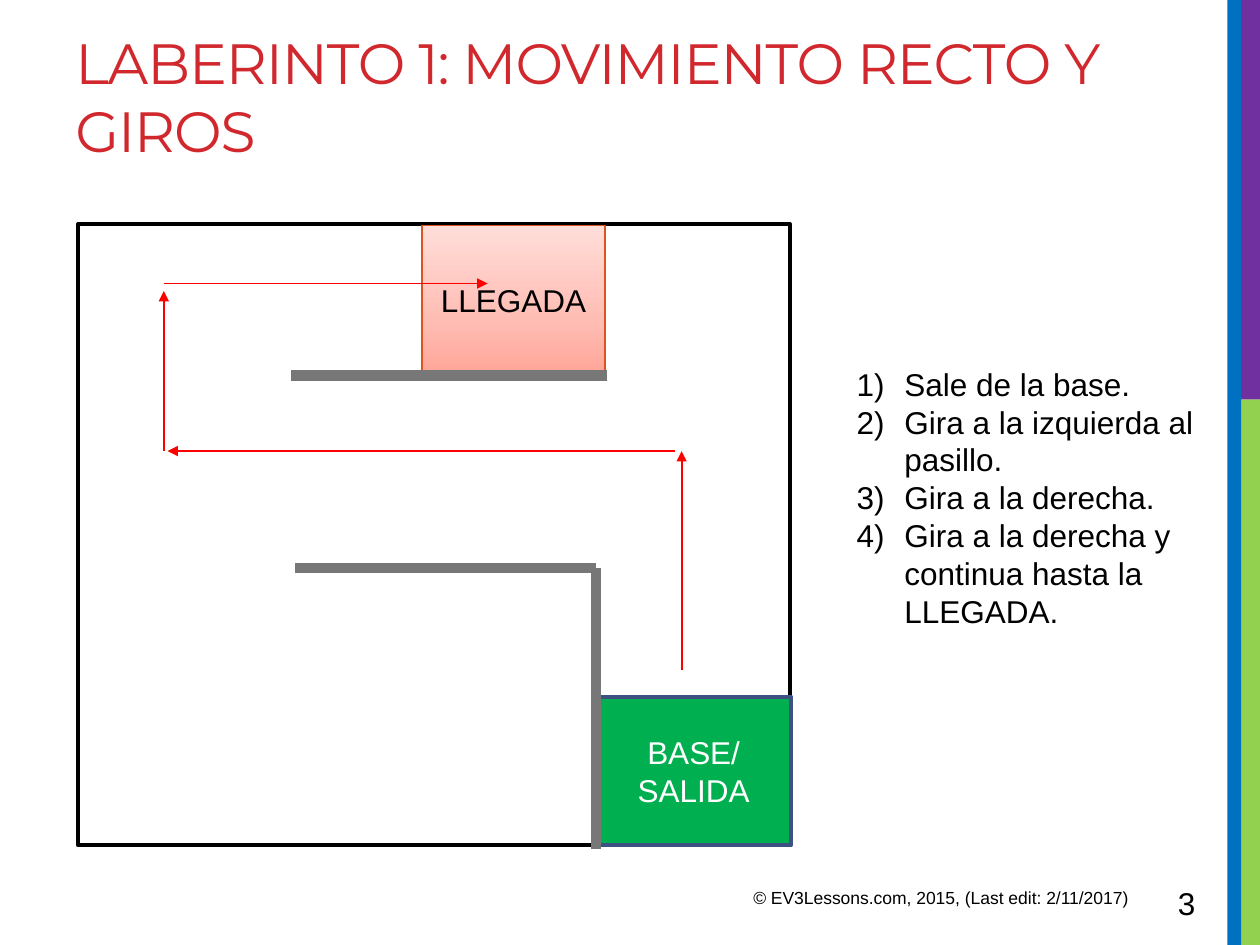
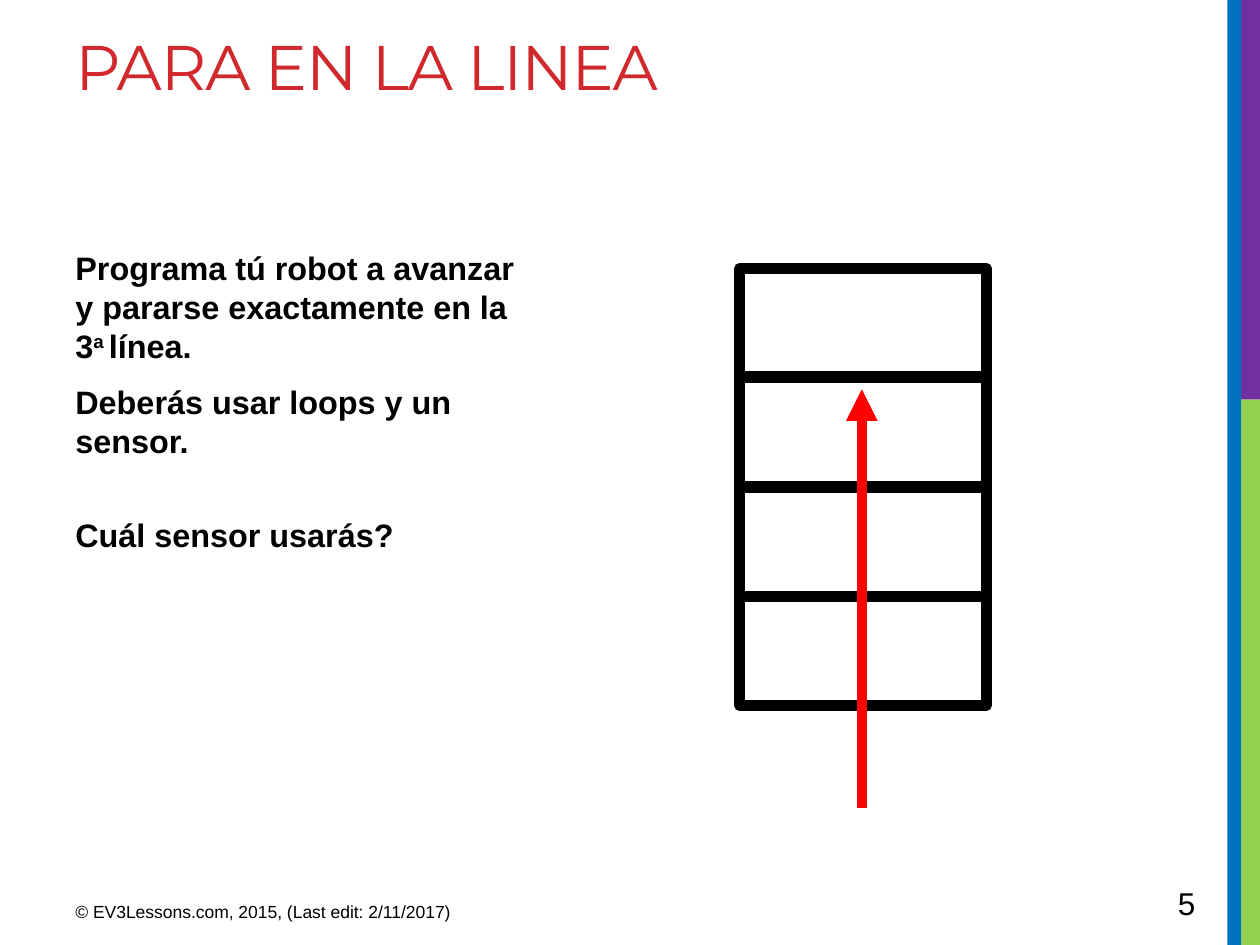
"""Build two robot challenge slides: a maze route and a stop-on-the-line task."""
from copy import deepcopy

from pptx import Presentation
from pptx.dml.color import RGBColor
from pptx.enum.shapes import MSO_CONNECTOR, MSO_SHAPE
from pptx.enum.text import MSO_ANCHOR, PP_ALIGN
from pptx.oxml.ns import qn
from pptx.util import Inches, Pt

RECTANGLE = MSO_SHAPE.RECTANGLE
STRAIGHT = MSO_CONNECTOR.STRAIGHT
TOP, MIDDLE = MSO_ANCHOR.TOP, MSO_ANCHOR.MIDDLE
LEFT, CENTER = PP_ALIGN.LEFT, PP_ALIGN.CENTER

BODY_FONT, TITLE_FONT = "Arial", "Montserrat"
COLORS = {
    "title": "D1282E", "black": "000000", "white": "FFFFFF",
    "blue": "0070C0", "lime": "92D050", "purple": "7030A0",
    "base": "00B050", "base_edge": "3D5182", "goal_edge": "DC551F",
    "route": "FF0000", "wall": "777777",
    "goal_low": "FFA698", "goal_mid": "FFBCB3", "goal_high": "FFDED9",
}
BANDS = [
    ("lime", (9.84, 3.17, 0.16, 4.33)),
    ("purple", (9.8, 0, 0.2, 3.17)),
    ("blue", (9.74, 0, 0.11, 7.5)),
]
COPYRIGHT = "© EV3Lessons.com, 2015, (Last edit: 2/11/2017)"

MAZE = {
    "title": "LABERINTO 1: MOVIMIENTO RECTO Y GIROS",
    "title_size": 32.4, "number": "3", "copyright_at": (5.88, 6.99),
}
STEPS = [
    "Sale de la base.",
    "Gira a la izquierda al pasillo.",
    "Gira a la derecha.",
    "Gira a la derecha y continua hasta la LLEGADA.",
]
GOAL_STOPS = [(0, "goal_low"), (0.35, "goal_mid"), (1, "goal_high")]
WALLS = [
    ((4.73, 6.74), (4.73, 4.51)),
    ((4.73, 4.51), (2.34, 4.51)),
    ((4.82, 2.98), (2.31, 2.98)),
]
MAZE_ROUTE = [
    ((5.41, 5.32), (5.41, 3.58)),
    ((5.36, 3.58), (1.33, 3.58)),
    ((1.3, 3.58), (1.3, 2.31)),
    ((1.3, 2.25), (3.87, 2.25)),
]

LINE_STOP = {
    "title": "PARA EN LA LINEA",
    "title_size": 36, "number": "5", "copyright_at": (0.5, 7.1),
}
TASKS = [
    (0, [("Programa tú robot a avanzar y pararse exactamente en la 3", False),
         ("a ", True), ("línea.", False)]),
    (3.7, [("Deberás usar loops y un sensor.", False)]),
    (25.7, [("Cuál sensor usarás?", False)]),
]
CELL_COUNT, CELL_PITCH = 4, 0.87
CELL_LEFT, CELL_TOP, CELL_WIDTH, CELL_HEIGHT = 5.87, 2.13, 1.96, 0.86
STOP_ROUTE = ((6.84, 6.41), (6.84, 3.09))


def rgb(name):
    return RGBColor.from_string(COLORS[name])


def lengths(values):
    return [Inches(value) for value in values]


def add_span(para, text, size, color="black", font=BODY_FONT):
    span = para.add_run()
    span.text = text
    span.font.size = Pt(size)
    span.font.name = font
    span.font.color.rgb = rgb(color)
    return span


def add_box(slide, area):
    box = slide.shapes.add_textbox(*lengths(area))
    box.text_frame.word_wrap = True
    box.text_frame.vertical_anchor = TOP
    return box.text_frame


def add_label(slide, area, text, size, color="black", font=BODY_FONT):
    return add_span(add_box(slide, area).paragraphs[0], text, size, color, font)


def next_para(frame, index):
    return frame.add_paragraph() if index else frame.paragraphs[0]


def add_block(slide, area, fill=None, edge=None, width=0, text="", color="black"):
    block = slide.shapes.add_shape(RECTANGLE, *lengths(area))
    block.shadow.inherit = False
    if fill:
        block.fill.solid()
        block.fill.fore_color.rgb = rgb(fill)
    else:
        block.fill.background()
    if edge:
        block.line.color.rgb = rgb(edge)
        block.line.width = Pt(width)
    else:
        block.line.fill.background()
    if text:
        block.text_frame.word_wrap = True
        block.text_frame.vertical_anchor = MIDDLE
        para = block.text_frame.paragraphs[0]
        para.alignment = CENTER
        add_span(para, text, 18, color)
    return block


def add_line(slide, ends, color, width, arrow=False):
    start, end = ends
    line = slide.shapes.add_connector(STRAIGHT, *lengths(start + end))
    line.line.color.rgb = rgb(color)
    line.line.width = Pt(width)
    properties = line._element.spPr
    if arrow:
        outline = properties.find(qn("a:ln"))
        head = outline.makeelement(qn("a:tailEnd"), {"type": "triangle"})
        outline.append(head)
    properties.append(properties.makeelement(qn("a:effectLst"), {}))


def shade_upward(block, stops):
    block.fill.gradient()
    block.fill.gradient_angle = 90
    stop_list = block._element.spPr.find(qn("a:gradFill")).find(qn("a:gsLst"))
    while len(stop_list) < len(stops):
        stop_list.append(deepcopy(stop_list[0]))
    for stop, (position, color) in zip(block.fill.gradient_stops, stops):
        stop.position = position
        stop.color.rgb = rgb(color)


def number_para(para):
    properties = para._p.get_or_add_pPr()
    properties.set("marL", str(Inches(0.38)))
    properties.set("indent", str(-Inches(0.38)))
    properties.append(properties.makeelement(
        qn("a:buFont"), {"typeface": BODY_FONT}))
    properties.append(properties.makeelement(
        qn("a:buAutoNum"), {"type": "arabicParenR"}))


def add_base_slide(deck, content):
    slide = deck.slides.add_slide(deck.slide_layouts[6])
    for color, area in BANDS:
        add_block(slide, area, color)
    title = add_label(slide, (0.5, 0.17, 9.02, 1.5), content["title"],
                      content["title_size"], "title", TITLE_FONT)
    title._r.get_or_add_rPr().set("spc", "-60")
    add_label(slide, content["copyright_at"] + (3.75, 0.31), COPYRIGHT, 10)
    add_label(slide, (9.25, 6.97, 0.69, 0.4), content["number"], 18)
    return slide


def add_maze_slide(deck):
    slide = add_base_slide(deck, MAZE)
    add_block(slide, (0.62, 1.78, 5.65, 4.93), "white", "black", 2.25)
    add_block(slide, (4.73, 5.53, 1.55, 1.18), "base", "base_edge", 2.25,
              "BASE/ SALIDA", "white")
    goal = add_block(slide, (3.35, 1.79, 1.45, 1.18), None, "goal_edge", 1,
                     "LLEGADA")
    shade_upward(goal, GOAL_STOPS)
    frame = add_box(slide, (6.7, 2.8, 2.9, 2.29))
    frame.vertical_anchor = MIDDLE
    for index, step in enumerate(STEPS):
        para = next_para(frame, index)
        number_para(para)
        para.alignment = LEFT
        add_span(para, step, 18)
    for wall in WALLS:
        add_line(slide, wall, "wall", 6)
    for leg in MAZE_ROUTE:
        add_line(slide, leg, "route", 1, arrow=True)


def add_line_stop_slide(deck):
    slide = add_base_slide(deck, LINE_STOP)
    frame = add_box(slide, (0.5, 1.92, 3.75, 2.58))
    for index, (space, spans) in enumerate(TASKS):
        para = next_para(frame, index)
        para.space_before, para.space_after = Pt(space), Pt(6)
        for text, raised in spans:
            span = add_span(para, text, 18.5)
            span.font.bold = True
            if raised:
                span._r.get_or_add_rPr().set("baseline", "30000")
    for row in range(CELL_COUNT):
        top = CELL_TOP + row * CELL_PITCH
        add_block(slide, (CELL_LEFT, top, CELL_WIDTH, CELL_HEIGHT),
                  None, "black", 6)
    add_line(slide, STOP_ROUTE, "route", 6, arrow=True)


def main():
    deck = Presentation()
    deck.slide_width, deck.slide_height = Inches(10), Inches(7.5)
    add_maze_slide(deck)
    add_line_stop_slide(deck)
    deck.save("out.pptx")


if __name__ == "__main__":
    main()
